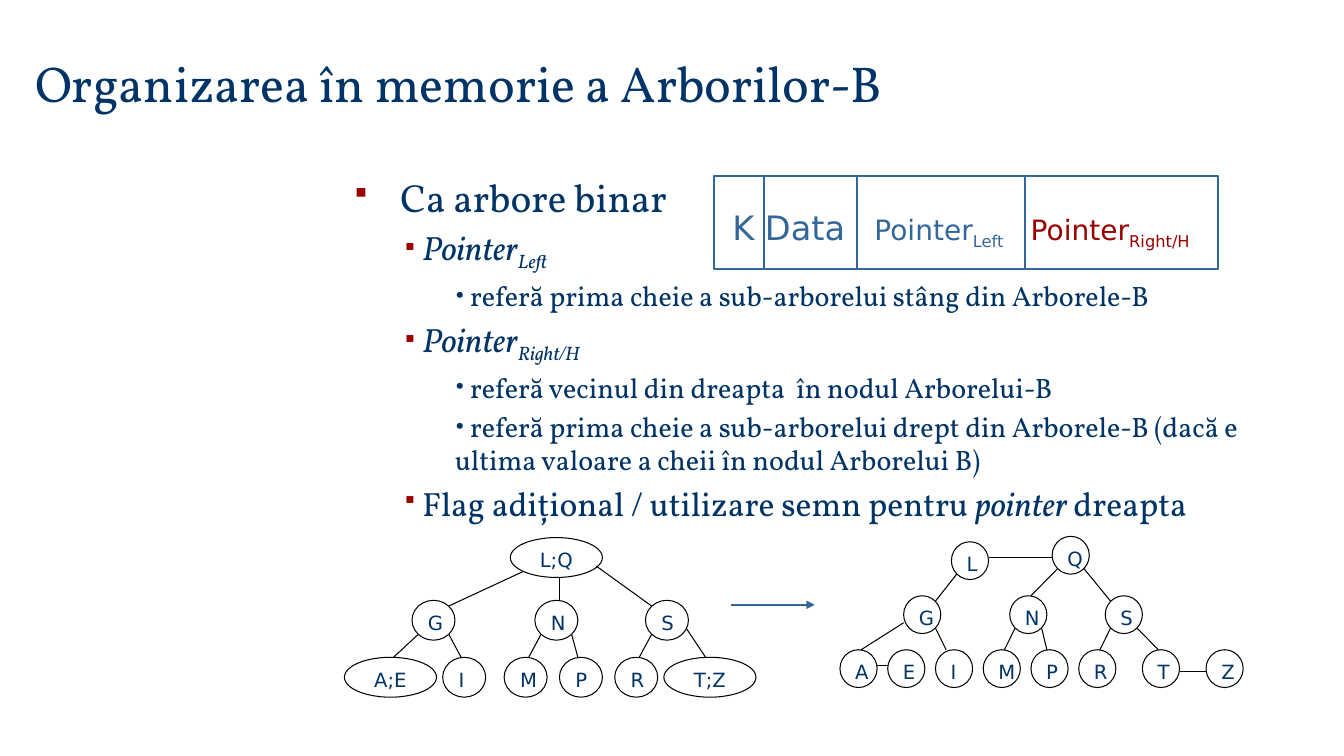
"""Build the slide on the in-memory organisation of B-trees as binary trees."""
from collections import namedtuple
from lxml.etree import SubElement
from pptx import Presentation
from pptx.dml.color import RGBColor
from pptx.enum.shapes import MSO_CONNECTOR, MSO_SHAPE
from pptx.enum.text import MSO_ANCHOR, MSO_AUTO_SIZE, PP_ALIGN
from pptx.oxml.ns import qn
from pptx.util import Inches, Pt

Theme = namedtuple("Theme", "navy blue red black white title heading item detail label serif sans marks thin thick")
theme = Theme(navy="003366", blue="336699", red="9A0000", black="000000", white="FFFFFF",
              title=36, heading=28, item=24, detail=20, label=14,
              serif="Vollkorn", sans="DejaVu Sans", marks="Wingdings", thin=0.75, thick=1.5)
Grid = namedtuple("Grid", "left top column row")
Span = namedtuple("Span", "text size color italic baseline", defaults=(theme.navy, False, 0))

deck = Presentation()
deck.slide_width, deck.slide_height = Inches(13.33), Inches(7.5)
page = deck.slides.add_slide(deck.slide_layouts[6])
page_grid = Grid(0, 0, deck.slide_width / 160, deck.slide_height / 90)


def add_box(shapes, grid, area, paragraphs=(), font=theme.sans, outline=None, color=theme.black, width=theme.thin):
    """Add an outlined shape, or a text box holding paragraphs of spans."""
    left, top, columns, rows = area
    place = [int(length) for length in (grid.left + left * grid.column, grid.top + top * grid.row,
                                        columns * grid.column, rows * grid.row)]
    if outline is not None:
        box = shapes.add_shape(outline, *place)
        box.shadow.inherit = False
        box.fill.solid()
        box.fill.fore_color.rgb = RGBColor.from_string(theme.white)
        box.line.color.rgb = RGBColor.from_string(color)
        box.line.width = Pt(width)
        return box
    box = shapes.add_textbox(*place)
    frame = box.text_frame
    frame.word_wrap = True
    frame.auto_size = MSO_AUTO_SIZE.SHAPE_TO_FIT_TEXT
    for index, spans in enumerate(paragraphs):
        para = frame.add_paragraph() if index else frame.paragraphs[0]
        for span in spans:
            run = para.add_run()
            run.text = span.text
            run.font.name, run.font.size, run.font.italic = font, Pt(span.size), span.italic
            run.font.color.rgb = RGBColor.from_string(span.color)
            if span.baseline:
                run._r.get_or_add_rPr().set("baseline", str(span.baseline * 1000))
    return box


def add_line(shapes, grid, ends, color=theme.black, width=theme.thin):
    """Add a straight line between two points given in columns and rows."""
    x1, y1, x2, y2 = ends
    line = shapes.add_connector(MSO_CONNECTOR.STRAIGHT,
                                int(grid.left + x1 * grid.column), int(grid.top + y1 * grid.row),
                                int(grid.left + x2 * grid.column), int(grid.top + y2 * grid.row))
    line.line.color.rgb = RGBColor.from_string(color)
    line.line.width = Pt(width)
    SubElement(line._element.spPr, qn("a:effectLst"))
    return line


title = add_box(page.shapes, page_grid, (3, 5.5, 131, 8.5),
                [[Span("Organizarea în memorie a Arborilor-B", theme.title)]], theme.serif)
title.text_frame.vertical_anchor = MSO_ANCHOR.BOTTOM

Level = namedtuple("Level", "margin indent mark font color size")
levels = [Level(0.38, -0.38, "§", theme.marks, theme.red, 75),
          Level(0.5, 0, "§", theme.marks, theme.red, 70),
          Level(1, 0, "•", theme.serif, theme.navy, 100)]
space = Span(" ", theme.item)
pointer = Span("Pointer", theme.item, italic=True)
outline = [
    (0, [Span(" Ca arbore binar", theme.heading)]),
    (1, [space, pointer, Span("Left ", theme.item, italic=True, baseline=-25)]),
    (2, [Span(" referă prima cheie a sub-arborelui stâng din Arborele-B", theme.detail)]),
    (1, [space, pointer, Span("Right/H ", theme.item, italic=True, baseline=-25)]),
    (2, [Span(" referă vecinul din dreapta  în nodul Arborelui-B", theme.detail)]),
    (2, [Span(" referă prima cheie a sub-arborelui drept din Arborele-B "
              "(dacă e ultima valoare a cheii în nodul Arborelui B)", theme.detail)]),
    (1, [Span(" Flag adițional / utilizare semn pentru ", theme.item),
         Span("pointer ", theme.item, italic=True), Span("dreapta", theme.item)]),
]
body = add_box(page.shapes, page_grid, (41, 20, 111, 62), [spans for _, spans in outline], theme.serif)
body.text_frame.auto_size = MSO_AUTO_SIZE.NONE
for (depth, _), para in zip(outline, body.text_frame.paragraphs):
    level = levels[depth]
    para.level = depth
    settings = para._p.get_or_add_pPr()
    settings.set("marL", str(Inches(level.margin)))
    settings.set("indent", str(Inches(level.indent)))
    SubElement(SubElement(settings, qn("a:spcBef")), qn("a:spcPct"), val="20000")
    SubElement(SubElement(settings, qn("a:buClr")), qn("a:srgbClr"), val=level.color)
    SubElement(settings, qn("a:buSzPct"), val=str(level.size * 1000))
    SubElement(settings, qn("a:buFont"), typeface=level.font)
    SubElement(settings, qn("a:buChar"), char=level.mark)

Tree = namedtuple("Tree", "grid nodes edges")
unit_x, unit_y = page_grid.column, page_grid.row
b_tree = Tree(
    Grid(41 * unit_x, 64 * unit_y, 49 * unit_x / 67, 19 * unit_y / 28),
    [("L;Q", 27, 0), ("G", 11, 11), ("N", 31, 11), ("S", 49, 11), ("A;E", 0, 21), ("I", 16, 21),
     ("M", 26, 21), ("P", 35, 21), ("R", 44, 21), ("T;Z", 52, 21)],
    [(17, 12, 29, 6), (35, 7, 35, 11), (41, 5, 50, 12), (12, 17, 8, 21), (17, 17, 19, 21),
     (32, 17, 30, 21), (37, 17, 38, 21), (48, 21, 50, 17), (55.7, 16, 58.8, 21)])
binary_tree = Tree(
    Grid(100 * unit_x, 63.85 * unit_y, 48 * unit_x / 76, 18 * unit_y / 28),
    [("L", 21, 1), ("Q", 40, 0), ("G", 12, 11), ("N", 32, 11), ("S", 50, 11), ("A", 0, 21), ("E", 9, 21),
     ("I", 18, 21), ("M", 27, 21), ("P", 36, 21), ("R", 45, 21), ("T", 57, 21), ("Z", 69, 21)],
    [(18, 12, 22, 7), (41, 6, 36, 11), (46, 6, 51, 12), (12, 16, 4, 21), (18, 17, 20, 21), (33, 17, 31, 21),
     (38, 17, 39, 21), (49, 21, 51, 17), (56, 17, 60, 21), (28, 4, 40, 4), (64, 25, 69, 25), (7, 24, 9, 24)])
for tree in (binary_tree, b_tree):
    group = page.shapes.add_group_shape()
    for keys, column, row in tree.nodes:
        wide = len(keys) > 1
        span, inset = (15, 2) if wide else (7, 1)
        add_box(group.shapes, tree.grid, (column, row, span, 7), outline=MSO_SHAPE.OVAL)
        label = add_box(group.shapes, tree.grid, (column + inset, row + 1, span - 2 * inset, 6),
                        [[Span(keys, theme.label)]])
        label.text_frame.paragraphs[0].alignment = PP_ALIGN.CENTER if wide else PP_ALIGN.LEFT
    for edge in tree.edges:
        add_line(group.shapes, tree.grid, edge)

record = page.shapes.add_group_shape()
add_box(record.shapes, page_grid, (85, 21, 60, 11), outline=MSO_SHAPE.RECTANGLE,
        color=theme.blue, width=theme.thick)
fields = add_box(record.shapes, page_grid, (86, 24, 61, 6), [[
    Span("K Data\t", theme.item, theme.blue), Span("Pointer", theme.detail, theme.blue),
    Span("Left", theme.detail, theme.blue, baseline=-25), Span("\tPointer", theme.detail, theme.red),
    Span("Right/H", theme.detail, theme.red, baseline=-25)]])
tab_list = SubElement(fields.text_frame.paragraphs[0]._p.get_or_add_pPr(), qn("a:tabLst"))
for stop in (1.41, 2.96):
    SubElement(tab_list, qn("a:tab"), pos=str(Inches(stop)), algn="l")
for column in (91, 102, 122):
    add_line(record.shapes, page_grid, (column, 21, column, 32), theme.blue, theme.thick)

arrow = add_line(page.shapes, page_grid, (87, 72, 97, 72), theme.blue, theme.thick)
SubElement(arrow.line._get_or_add_ln(), qn("a:tailEnd"), type="triangle")

deck.save("out.pptx")
